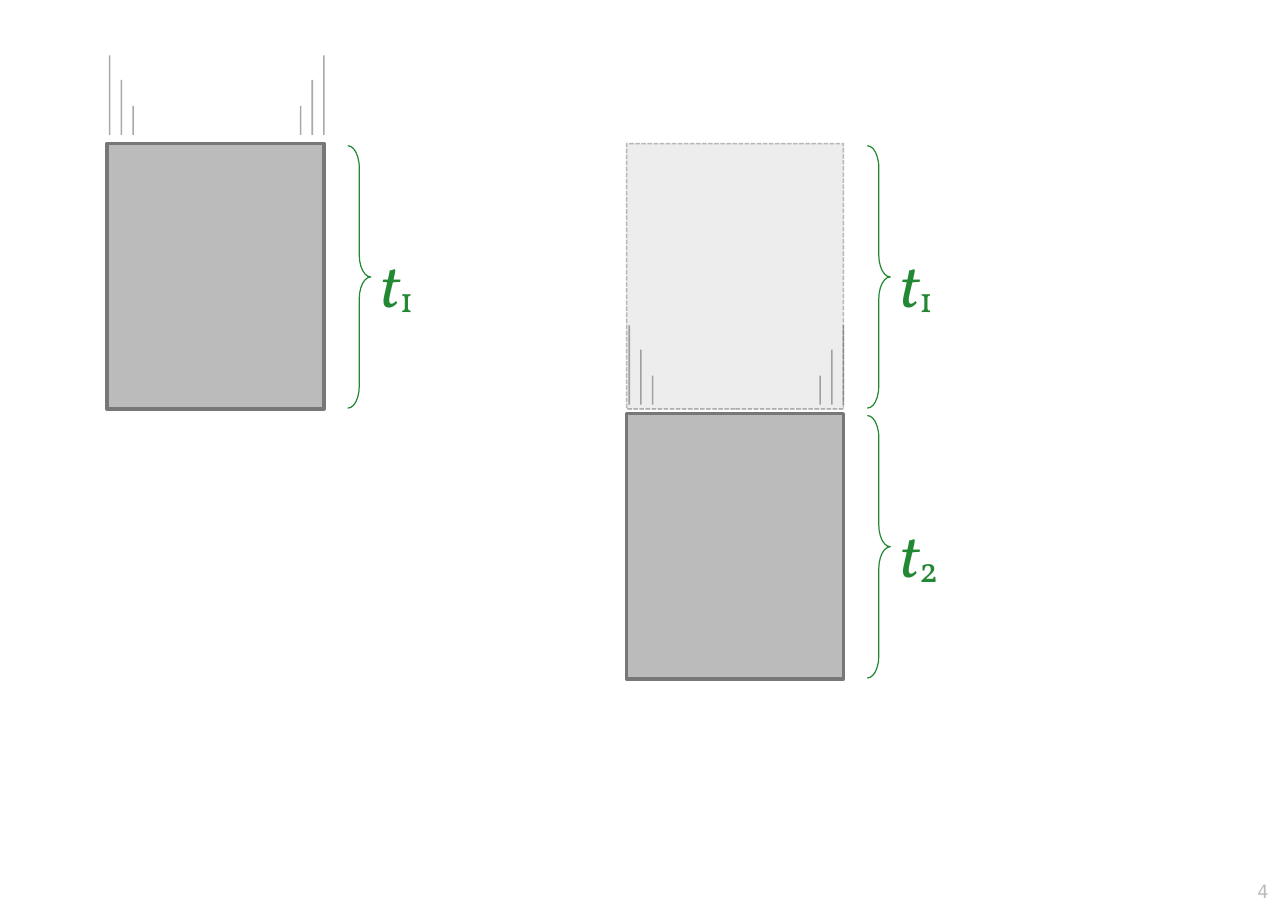
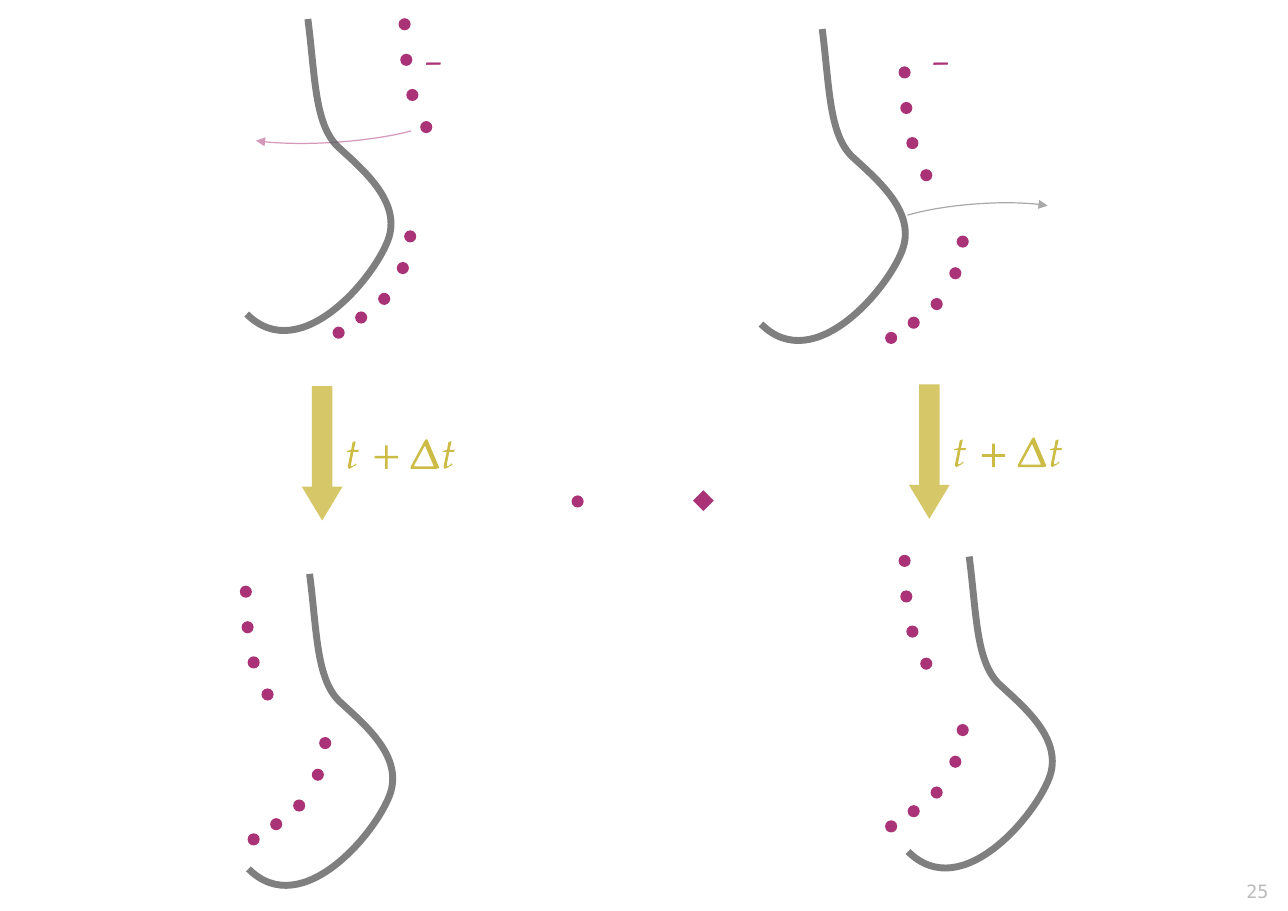
from lxml.etree import SubElement
from pptx import Presentation
from pptx.dml.color import RGBColor
from pptx.enum.dml import MSO_LINE
from pptx.enum.shapes import MSO_CONNECTOR, MSO_SHAPE as SHAPE
from pptx.enum.text import MSO_AUTO_SIZE, PP_ALIGN as ALIGN
from pptx.oxml.ns import qn
from pptx.util import Cm, Pt

COLORS = {
    "block": "BBBBBB",
    "border": "777777",
    "stroke": "555555",
    "time": "228833",
    "marker": "AA3377",
    "step": "CCBB44",
}
SERIF = "Vollkorn"
MONO = "DejaVu Sans Mono"

BLOCK_SIZE = (5, 6.12)
STREAK_LENGTHS = (1.83, 1.27, 0.67)
STREAK_GAP = 0.27

DOT = 0.28
UPPER_DOTS = ((0, 0), (0.04, 0.82), (0.18, 1.63), (0.5, 2.37))
LOWER_DOTS = ((0, 0), (-0.17, 0.73), (-0.6, 1.44), (-1.13, 1.87), (-1.65, 2.22))
CONTOUR_SIZE = (3.33, 7.19)
CONTOUR = (
    (1.41, 0),
    (1.58, 1.31), (1.56, 2.42), (2.1, 2.94),
    (2.65, 3.45), (3.54, 4.17), (3.28, 5.03),
    (3.01, 5.89), (1.25, 8.05), (0, 6.8),
)

LETTER_T = ((
    (0.22, 0.54), (0.21, 0.51), (0.17, 0.55), (0.11, 0.58), (0.09, 0.56),
    (0.14, 0.3), (0.15, 0.25), (0.26, 0.25), (0.28, 0.2), (0.16, 0.2),
    (0.2, 0.02), (0.19, 0), (0.13, 0.03), (0.1, 0.2), (0, 0.23), (0, 0.25),
    (0.09, 0.25), (0.03, 0.53), (0.02, 0.6), (0.05, 0.64), (0.18, 0.57),
),)
PLUS = ((
    (0.54, 0.3), (0.54, 0.24), (0.3, 0.24), (0.3, 0), (0.24, 0), (0.24, 0.24),
    (0, 0.24), (0, 0.3), (0.24, 0.3), (0.24, 0.54), (0.3, 0.54), (0.3, 0.3),
),)
DELTA = (
    ((0.33, 0.03), (0, 0.64), (0, 0.69), (0.58, 0.69), (0.66, 0.67), (0.65, 0.64), (0.38, 0)),
    ((0.53, 0.63), (0.08, 0.63), (0.08, 0.61), (0.33, 0.15), (0.53, 0.62)),
)
FORMULA = (
    (LETTER_T, 1.04, 1.27),
    (PLUS, 1.68, 1.37),
    (DELTA, 2.51, 1.22),
    (LETTER_T, 3.25, 1.27),
)


def rgb(name):
    return RGBColor.from_string(COLORS[name])


def set_alpha(parent, percent):
    color = parent.find(qn("a:solidFill") + "/" + qn("a:srgbClr"))
    SubElement(color, qn("a:alpha")).set("val", str(percent * 1000))


def style_fill(shape, color=None, alpha=100):
    if color is None:
        shape.fill.background()
        return
    shape.fill.solid()
    shape.fill.fore_color.rgb = rgb(color)
    if alpha < 100:
        set_alpha(shape.element.spPr, alpha)


def style_line(shape, color=None, width=1, alpha=100):
    if color is None:
        shape.line.fill.background()
        return
    shape.line.color.rgb = rgb(color)
    shape.line.width = Pt(width)
    if alpha < 100:
        set_alpha(shape.element.spPr.find(qn("a:ln")), alpha)


def add_preset(page, kind, left, top, width, height, adjustments=()):
    shape = page.shapes.add_shape(kind, Cm(left), Cm(top), Cm(width), Cm(height))
    shape.shadow.inherit = False
    for index, value in enumerate(adjustments):
        shape.adjustments[index] = value
    return shape


def add_outline(page, left, top, loops, close):
    placed = [[(Cm(left + x), Cm(top + y)) for x, y in loop] for loop in loops]
    builder = page.shapes.build_freeform(*placed[0][0])
    for index, points in enumerate(placed):
        if index:
            builder.move_to(*points[0])
        builder.add_line_segments(points[1:], close=close)
    outline = builder.convert_to_shape()
    outline.shadow.inherit = False
    return outline


def add_label(page, left, top, width, height, pieces, size, color,
              font=SERIF, bold=False, align=ALIGN.LEFT):
    box = page.shapes.add_textbox(Cm(left), Cm(top), Cm(width), Cm(height))
    frame = box.text_frame
    frame.word_wrap = False
    frame.auto_size = MSO_AUTO_SIZE.SHAPE_TO_FIT_TEXT
    para = frame.paragraphs[0]
    para.alignment = align
    for text, italic in pieces:
        span = para.add_run()
        span.text = text
        span.font.name = font
        span.font.size = Pt(size)
        span.font.bold = bold
        span.font.italic = italic
        span.font.color.rgb = rgb(color)
    return para


def add_page(deck, number):
    page = deck.slides.add_slide(deck.slide_layouts[6])
    add_label(page, 26.96, 20.17, 2.54, 0.74, [(str(number), False)], 12,
              "block", MONO, align=ALIGN.RIGHT)
    return page


def add_block(page, left, top, ghost=False):
    block = add_preset(page, SHAPE.RECTANGLE, left, top, *BLOCK_SIZE)
    style_fill(block, "block", 25 if ghost else 100)
    if ghost:
        style_line(block, "border", 1, 50)
        block.line.dash_style = MSO_LINE.SQUARE_DOT
    else:
        style_line(block, "border", 2.3)


def add_streaks(page, left, top):
    bottom = top - 0.2
    for index, length in enumerate(STREAK_LENGTHS):
        inset = index * STREAK_GAP
        for x in (left + 0.06 + inset, left + BLOCK_SIZE[0] - inset):
            streak = page.shapes.add_connector(
                MSO_CONNECTOR.STRAIGHT, Cm(x), Cm(bottom - length), Cm(x), Cm(bottom))
            style_line(streak, "stroke", 1, 50)
            SubElement(streak.element.spPr, qn("a:effectLst"))


def add_time_brace(page, left, top, index):
    brace = add_preset(page, SHAPE.RIGHT_BRACE, left + 5.55, top + 0.05,
                       0.53, 6.05, (0.95, 0.5))
    style_fill(brace)
    style_line(brace, "time", 0.79)
    para = add_label(page, left + 6.04, top + 2.24, 1.45, 2.18,
                     [("t", True), (index, False)], 40, "time")
    para.runs[1].font._element.set("baseline", "-8000")


def add_marker(page, kind, left, top, size):
    marker = add_preset(page, kind, left, top, size, size)
    style_fill(marker, "marker")
    style_line(marker)


def add_dots(page, left, top, offsets):
    for x, y in offsets:
        add_marker(page, SHAPE.OVAL, left + x, top + y, DOT)


def add_contour(page, left, top):
    contour = add_outline(page, left, top, (CONTOUR,), close=False)
    style_fill(contour)
    style_line(contour, "stroke", 4.5, 75)

    outline = contour.element.find(".//" + qn("a:path"))
    segments = outline.findall(qn("a:lnTo"))
    for start in range(0, len(segments), 3):
        curve = SubElement(outline, qn("a:cubicBezTo"))
        for segment in segments[start:start + 3]:
            curve.append(segment[0])
            outline.remove(segment)
    contour.width, contour.height = (Cm(length) for length in CONTOUR_SIZE)
    outline.set("w", str(contour.width))
    outline.set("h", str(contour.height))


def add_scene(page, contour, upper, lower):
    add_contour(page, *contour)
    add_dots(page, *upper, UPPER_DOTS)
    add_dots(page, *lower, LOWER_DOTS)


def add_time_step(page, left, top):
    arrow = add_preset(page, SHAPE.DOWN_ARROW, left, top, 0.94, 3.1, (0.5, 0.83))
    style_fill(arrow, "step", 80)
    style_line(arrow)
    for loops, x, y in FORMULA:
        glyph = add_outline(page, left + x, top + y, loops, close=True)
        style_fill(glyph, "step")
        style_line(glyph)


def add_motion_arc(page, left, top, width, angles, rotation, color):
    arc = add_preset(page, SHAPE.ARC, left, top, width, 0.94, angles)
    arc.rotation = rotation
    style_fill(arc)
    style_line(arc, color, 0.79, 50)
    SubElement(arc.element.spPr.find(qn("a:ln")), qn("a:tailEnd")).set("type", "triangle")


def build_falling_block(deck):
    page = add_page(deck, 4)
    first, second = 2.47, 14.45
    upper, lower = 3.31, 9.53
    add_block(page, first, upper)
    add_streaks(page, first, upper)
    add_block(page, second, lower)
    add_block(page, second, upper, ghost=True)
    add_streaks(page, second, lower)
    for left, top, index in ((first, upper, "1"), (second, upper, "1"), (second, lower, "2")):
        add_time_brace(page, left, top, index)


def build_contour_motion(deck):
    page = add_page(deck, 25)
    add_scene(page, (5.73, 13.23), (5.53, 13.5), (7.36, 16.99))
    add_scene(page, (20.94, 12.83), (20.72, 12.79), (22.06, 16.69))
    add_scene(page, (17.55, 0.67), (20.72, 1.53), (22.06, 5.43))
    add_time_step(page, 6.96, 8.9)
    add_time_step(page, 20.96, 8.86)
    add_motion_arc(page, 5.28, 2.34, 4.88, (6.42, 102.29), 356.1, "marker")
    add_motion_arc(page, 20.32, 4.7, 4.39, (7.09, 101.77), 175.7, "stroke")
    add_scene(page, (5.69, 0.44), (9.19, 0.42), (9.32, 5.31))
    for left in (21.23, 9.53):
        add_label(page, left, 0.81, 0.86, 1.27, [("–", False)], 21, "marker", bold=True)
    add_marker(page, SHAPE.OVAL, 13.18, 11.42, DOT)
    add_marker(page, SHAPE.DIAMOND, 15.98, 11.3, 0.48)


def main():
    deck = Presentation()
    deck.slide_width, deck.slide_height = Cm(29.7), Cm(21)
    build_falling_block(deck)
    build_contour_motion(deck)
    deck.save("out.pptx")


if __name__ == "__main__":
    main()
